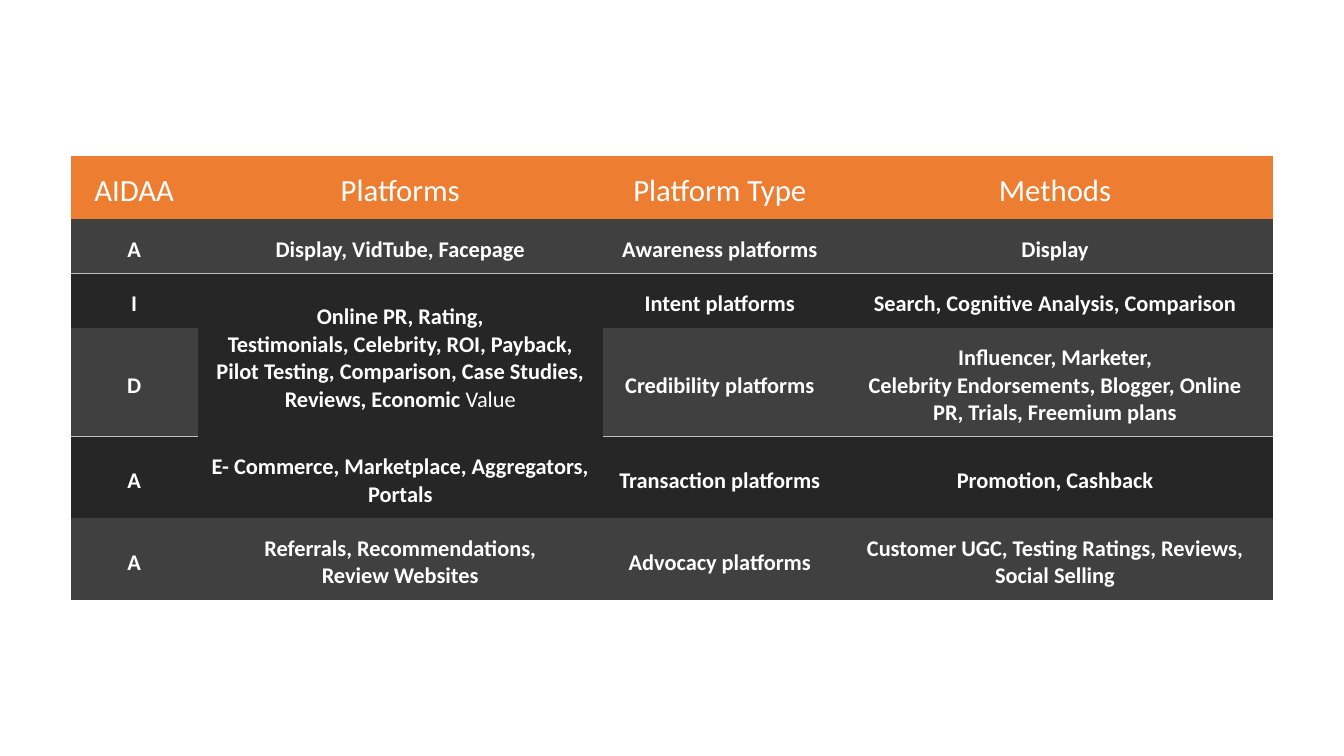
from pptx import Presentation
from pptx.dml.color import RGBColor
from pptx.enum import text
from pptx.oxml import parse_xml
from pptx.oxml.ns import nsdecls
from pptx.util import Inches, Pt

THEME = {
    "font": "Calibri", "header_size": 22, "body_size": 16,
    "text": "FFFFFF", "header": "ED7D31", "light": "404040",
    "dark": "262626", "rule": "BFBFBF",
}
NO_STYLE = "{2D5ABB26-0587-4C30-8999-92F81FD0307C}"
NBSP = chr(160)  # typed as ~ in the table content


def add_text(p, words, size=THEME["body_size"], bold=True, color=THEME["text"]):
    p.alignment = text.PP_ALIGN.CENTER
    r = p.add_run()
    r.text = words.replace("~", NBSP)
    r.font.name = THEME["font"]
    r.font.size = Pt(size)
    r.font.bold = bold
    r.font.color.rgb = RGBColor.from_string(color)


def set_edges(cell, ruled):
    # Edge lines come before the fill in the cell properties
    for k, edge in enumerate(("lnL", "lnR", "lnT", "lnB")):
        paint = "<a:noFill/>"
        if edge in ruled:
            paint = f'<a:solidFill><a:srgbClr val="{THEME["rule"]}"/></a:solidFill>'
        cell._tc.get_or_add_tcPr().insert(k, parse_xml(
            f'<a:{edge} {nsdecls("a")} w="12700">{paint}</a:{edge}>'))


# Slide
prs = Presentation()
prs.slide_width, prs.slide_height = Inches(13.33), Inches(7.5)
s = prs.slides.add_slide(prs.slide_layouts[6])

# Table content; the empty cell belongs to the merged one above it
rows = [
    ["AIDAA", "Platforms", "Platform Type", "Methods"],
    ["A", "Display, VidTube, Facepage", "Awareness platforms", "Display"],
    ["I", "Online PR, Rating, Testimonials,~Celebrity, ROI, Payback, "
          "Pilot Testing,~Comparison, Case Studies, Reviews,~Economic~",
     "Intent platforms", "Search, Cognitive Analysis,~Comparison"],
    ["D", "", "Credibility platforms",
     "Influencer, Marketer, Celebrity~Endorsements, Blogger, "
     "Online PR,~Trials, Freemium plans"],
    ["A", "E- Commerce, Marketplace,~Aggregators, Portals",
     "Transaction platforms", "Promotion, Cashback"],
    ["A", "Referrals, Recommendations, Review~Websites",
     "Advocacy platforms", "Customer UGC, Testing Ratings,~Reviews, Social Selling"],
]
col_widths = [1.26, 4.02, 2.32, 4.33]
row_heights = [0.62, 0.54, 0.54, 1.08, 0.81, 0.81]

# Thin rules under the first and third body rows, broken at the merged cell
rules = {1: "lnB", 2: "lnT", 3: "lnB", 4: "lnT"}
unruled = [(3, 1), (4, 1)]

# Table frame
frame = s.shapes.add_table(len(rows), len(col_widths), Inches(0.7), Inches(1.55),
                           Inches(sum(col_widths)), Inches(sum(row_heights)))
table = frame.table
table._tbl.tblPr.find("{*}tableStyleId").text = NO_STYLE
table.horz_banding = False
for column, width in zip(table.columns, col_widths):
    column.width = Inches(width)
for row, height in zip(table.rows, row_heights):
    row.height = Inches(height)
table.cell(2, 1).merge(table.cell(3, 1))

# Cells: orange header, then alternating greys
for i, row in enumerate(rows):
    fill = THEME["header"] if i == 0 else THEME["light" if i % 2 else "dark"]
    for j, words in enumerate(row):
        cell = table.cell(i, j)
        cell.vertical_anchor = text.MSO_ANCHOR.MIDDLE
        cell.margin_left = cell.margin_right = cell.margin_top = Inches(0.14)
        cell.margin_bottom = Inches(0.07)
        cell.fill.solid()
        cell.fill.fore_color.rgb = RGBColor.from_string(fill)
        set_edges(cell, [] if (i, j) in unruled else [rules.get(i)])
        if words and i == 0:
            add_text(cell.text_frame.paragraphs[0], words,
                     size=THEME["header_size"], bold=False)
        elif words:
            add_text(cell.text_frame.paragraphs[0], words)
add_text(table.cell(2, 1).text_frame.paragraphs[0], "Value", bold=False)

prs.save("out.pptx")
